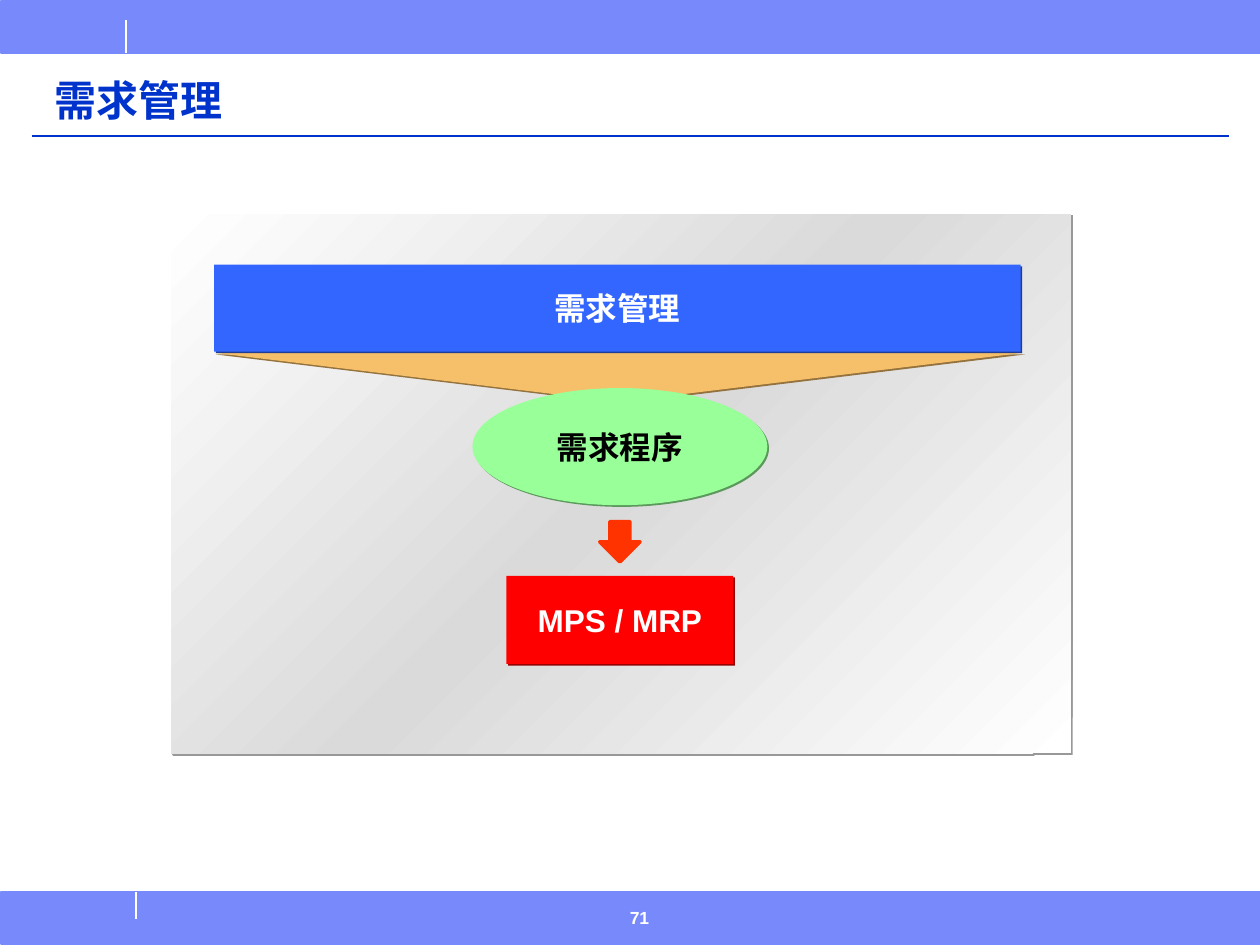
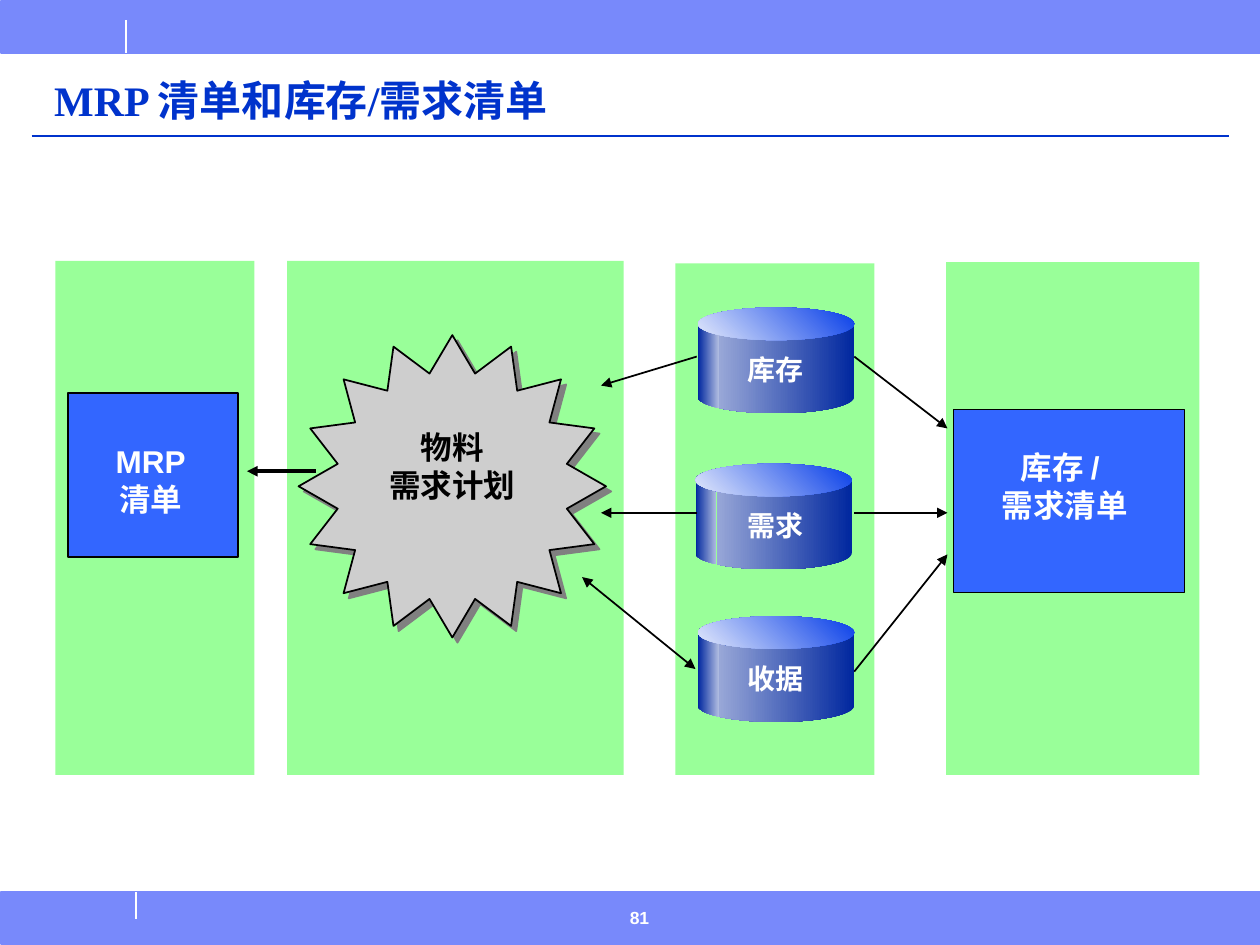
import math
import pptx
import pptx.util
import pptx.oxml
import pptx.oxml.ns
from pptx.dml.color import RGBColor
from pptx.enum.shapes import MSO_CONNECTOR, MSO_SHAPE
from pptx.enum.text import MSO_ANCHOR, MSO_AUTO_SIZE, PP_ALIGN

Inches = pptx.util.Inches
Pt = pptx.util.Pt
qn = pptx.oxml.ns.qn
NS = pptx.oxml.ns.nsdecls("a")

COLORS = {
    "band": "7889FB", "title": "0033CC", "white": "FFFFFF", "black": "000000",
    "silver": "DADADA", "panel_shadow": "989898", "funnel": "F6BF69",
    "funnel_shadow": "93723E", "red": "FF0000", "red_shadow": "980000",
    "green": "99FF99", "green_shadow": "5B985B", "arrow": "FF3300",
    "blue": "3366FF", "blue_shadow": "1E3C98", "star": "CECECE",
    "star_shadow": "808080", "navy": "00279F", "mist": "98A7D7",
    "pale": "B1BDE1", "lid": "063DE8", "lid_light": "E4EAFB",
}


def write(sp, text, size=18, color="white", font="Arial", align=PP_ALIGN.CENTER,
          anchor=MSO_ANCHOR.TOP, wrap=False, inset=(0.1, 0.05), spacing=None):
    tf = sp.text_frame
    tf.text = text
    tf.word_wrap = wrap
    tf.auto_size = MSO_AUTO_SIZE.NONE
    tf.vertical_anchor = anchor
    tf.margin_left = tf.margin_right = Inches(inset[0])
    tf.margin_top = tf.margin_bottom = Inches(inset[1])
    for p in tf.paragraphs:
        p.alignment = align
        p.line_spacing = spacing
        for r in p.runs:
            r.font.name = font
            r.font.size = Pt(size)
            r.font.bold = True
            r.font.color.rgb = RGBColor.from_string(COLORS[color])


def paint(sp, fill, angle=None, line=None, width=1, shadow=None, distance=1.4):
    stops = fill if angle is not None else [fill]
    sp.fill.solid()
    sp.fill.fore_color.rgb = RGBColor.from_string(COLORS[stops[0]])
    spPr = sp.element.spPr
    if angle is not None:
        gs = "".join(
            f'<a:gs pos="{100000 * i // (len(stops) - 1)}"><a:srgbClr val="{COLORS[c]}"/></a:gs>'
            for i, c in enumerate(stops))
        spPr.replace(spPr.find(qn("a:solidFill")), pptx.oxml.parse_xml(
            f'<a:gradFill {NS} rotWithShape="1"><a:gsLst>{gs}</a:gsLst>'
            f'<a:lin ang="{angle * 60000}" scaled="0"/></a:gradFill>'))
    if line:
        sp.line.color.rgb = RGBColor.from_string(COLORS[line])
        sp.line.width = Pt(width)
    else:
        sp.line.fill.background()
    sp.shadow.inherit = False
    if shadow:
        spPr.find(qn("a:effectLst")).append(pptx.oxml.parse_xml(
            f'<a:outerShdw {NS} blurRad="0" dist="{Pt(distance)}" dir="2700000" '
            f'algn="ctr" rotWithShape="0"><a:srgbClr val="{COLORS[shadow]}"/></a:outerShdw>'))


prs = pptx.Presentation()
prs.slide_width = Inches(10)
prs.slide_height = Inches(7.5)
layout = prs.slide_layouts[5]

slides = []
for title, number in [("需求管理", "71"), ("MRP 清单和库存/需求清单", "81")]:
    s = prs.slides.add_slide(layout)
    slides.append(s)
    sp = s.shapes.title
    sp.left, sp.top, sp.width, sp.height = map(Inches, (0.33, 0.5, 9.18, 0.55))
    write(sp, title, size=24, color="title", font="Times New Roman",
          align=PP_ALIGN.LEFT, anchor=MSO_ANCHOR.BOTTOM, wrap=True, spacing=0.9)
    sp = s.shapes.add_textbox(*map(Inches, (4.9, 7.15, 0.83, 0.35)))
    write(sp, number, size=10, align=PP_ALIGN.LEFT, wrap=True)
demand, lists = slides

shared = []
for top in (0.01, 7.08):
    sp = demand.shapes.add_shape(MSO_SHAPE.RECTANGLE, *map(Inches, (0.01, top, 9.99, 0.41)))
    paint(sp, "band", line="band")
    shared.append(sp)

sp = demand.shapes.add_shape(MSO_SHAPE.RECTANGLE, *map(Inches, (1.36, 1.7, 7.14, 4.28)))
paint(sp, ["white", "silver", "white"], angle=225, shadow="panel_shadow")

sp = demand.shapes.add_shape(MSO_SHAPE.ISOSCELES_TRIANGLE, *map(Inches, (1.7, 2.8, 6.42, 0.39)))
sp.rotation = 180
paint(sp, "funnel", shadow="funnel_shadow")

for kind, box, fill, text, color in [
    (MSO_SHAPE.RECTANGLE, (4.02, 4.57, 1.8, 0.7), "red", "MPS / MRP", "white"),
    (MSO_SHAPE.OVAL, (3.75, 3.08, 2.34, 0.93), "green", "需求程序", "black"),
    (MSO_SHAPE.RECTANGLE, (1.7, 2.1, 6.4, 0.69), "blue", "需求管理", "white"),
]:
    sp = demand.shapes.add_shape(kind, *map(Inches, box))
    paint(sp, fill, shadow=fill + "_shadow")
    write(sp, text, color=color, anchor=MSO_ANCHOR.MIDDLE, inset=(0.06, 0.03))

sp = demand.shapes.add_shape(MSO_SHAPE.DOWN_ARROW, *map(Inches, (4.76, 4.14, 0.32, 0.32)))
paint(sp, "arrow", line="arrow", width=2)

for left, top, width in [(7.51, 2.08, 2.01), (5.36, 2.09, 1.58),
                         (2.28, 2.07, 2.67), (0.44, 2.07, 1.58)]:
    sp = lists.shapes.add_shape(MSO_SHAPE.RECTANGLE,
                                *map(Inches, (left, top, width, 6.15 - top)))
    paint(sp, "green")

sp = lists.shapes.add_shape(MSO_SHAPE.STAR_16_POINT, *map(Inches, (2.37, 2.66, 2.44, 2.4)))
sp.adjustments[0] = 0.38
paint(sp, "star", line="black", shadow="star_shadow", distance=4.2)

for box, width in [((0.54, 3.12, 1.35, 1.3), 1), ((7.57, 3.25, 1.83, 1.45), 0.75)]:
    sp = lists.shapes.add_shape(MSO_SHAPE.RECTANGLE, *map(Inches, box))
    paint(sp, "blue", line="black", width=width)

for text, box, color in [
    ("物料\n需求计划", (2.99, 3.35, 1.2, 0.7), "black"),
    ("MRP\n清单", (0.82, 3.46, 0.75, 0.7), "white"),
    ("库存 / \n需求清单", (7.85, 3.51, 1.2, 0.7), "white"),
]:
    write(lists.shapes.add_textbox(*map(Inches, box)), text, color=color)

RX, RY, WALL, SEAM = 0.62, 0.13, 0.58, 137
for text, left, top in [("库存", 5.54, 2.44), ("需求", 5.52, 3.68), ("收据", 5.54, 4.89)]:
    cx, rim = left + RX, top + RY
    for start, end, stops in [(0, SEAM, ["navy", "mist"]), (SEAM, 180, ["pale", "navy"])]:
        arc = []
        for i in range(25):
            a = math.radians(start + (end - start) * i / 24)
            arc.append((Inches(cx + RX * math.cos(a)),
                        Inches(rim + WALL + RY * math.sin(a))))
        fb = lists.shapes.build_freeform(arc[0][0], Inches(rim))
        fb.add_line_segments(arc + [(arc[-1][0], Inches(rim))])
        paint(fb.convert_to_shape(), stops, angle=180)
    sp = lists.shapes.add_shape(MSO_SHAPE.OVAL, *map(Inches, (left, top, 2 * RX, 2 * RY)))
    paint(sp, ["lid", "lid_light"], angle=135)
    sp = lists.shapes.add_textbox(*map(Inches, (5.51, top + 0.31, 1.29, 0.36)))
    write(sp, text, size=16, wrap=True)

for s, ends, color, width, heads in [
    (demand, (1, 0.16, 1, 0.42), "white", 1, ""),
    (demand, (1.08, 7.08, 1.08, 7.29), "white", 1, ""),
    (demand, (0.25, 1.08, 9.75, 1.08), "title", 1, ""),
    (lists, (1.96, 3.74, 2.51, 3.74), "black", 2, "head"),
    (lists, (4.62, 4.58, 5.52, 5.31), "black", 1, "head tail"),
    (lists, (5.53, 2.83, 4.77, 3.06), "black", 1, "tail"),
    (lists, (5.53, 4.07, 4.77, 4.07), "black", 1, "tail"),
    (lists, (6.78, 2.83, 7.52, 3.4), "black", 1, "tail"),
    (lists, (6.78, 4.07, 7.52, 4.07), "black", 1, "tail"),
    (lists, (6.78, 5.33, 7.52, 4.4), "black", 1, "tail"),
]:
    c = s.shapes.add_connector(MSO_CONNECTOR.STRAIGHT, *map(Inches, ends))
    c.line.color.rgb = RGBColor.from_string(COLORS[color])
    c.line.width = Pt(width)
    spPr = c.element.spPr
    for head in heads.split():
        spPr.find(qn("a:ln")).append(
            pptx.oxml.parse_xml(f'<a:{head}End {NS} type="triangle"/>'))
    spPr.append(pptx.oxml.parse_xml(f"<a:effectLst {NS}/>"))
    if s is demand:
        shared.append(c)

for i, sp in enumerate(shared):
    sp.element.xpath(".//p:cNvPr")[0].set("id", str(100 + i))
    layout.shapes.element.append(sp.element)

prs.save("out.pptx")
